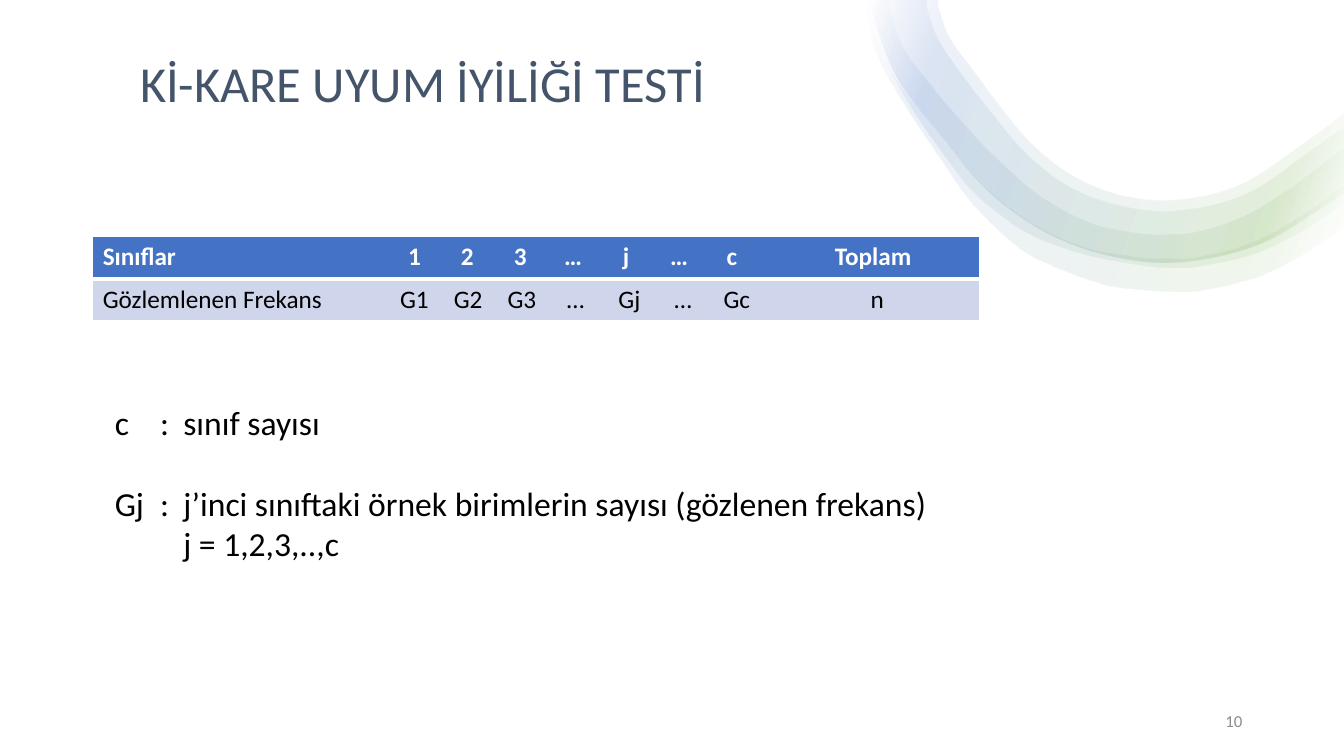
import math

import lxml.etree
import pptx
import pptx.dml.color
import pptx.enum.shapes
import pptx.enum.text
import pptx.oxml.ns
import pptx.util

Inches, Pt = pptx.util.Inches, pptx.util.Pt
qn = pptx.oxml.ns.qn
ALIGN, ANCHOR = pptx.enum.text.PP_ALIGN, pptx.enum.text.MSO_ANCHOR
FONT = "Calibri"

HEADER = ["Sınıflar", "1", "2", "3", "…", "j", "…", "c", "Toplam"]
OBSERVED = ["Gözlemlenen Frekans", "G1", "G2", "G3", "…", "Gj", "…", "Gc", "n"]

# Wave edges in inches: inner edges run from the top to the right, outer edges back.
CORE_OUTER = [(13.33, 1.9), (13.19, 2), (12.48, 2.42), (11.64, 2.6), (10.91, 2.51),
              (10.3, 2.26), (9.78, 1.87), (9.34, 1.35), (8.89, 0.75), (8.65, 0.08), (8.65, 0)]
WAVE_BANDS = [
    ([(8.6, 0), (8.64, 0), (8.64, 0.14), (8.75, 0.54), (8.97, 0.9), (9.25, 1.24),
      (9.52, 1.58), (9.81, 1.89), (10.25, 2.22), (10.76, 2.45), (11.3, 2.55),
      (11.59, 2.56), (11.86, 2.55), (12.39, 2.41), (12.88, 2.15), (13.33, 1.83)],
     [(13.33, 2.23), (13.08, 2.42), (12.53, 2.72), (11.91, 2.88), (11.66, 2.89),
      (11.43, 2.88), (10.96, 2.82), (10.36, 2.6), (10.09, 2.44), (9.65, 2.02),
      (9.31, 1.54), (8.99, 1.06), (8.71, 0.56), (8.61, 0.14), (8.6, 0)]),
    ([(8.65, 0), (8.83, 0), (8.83, 0.08), (8.94, 0.43), (9.24, 0.85), (9.6, 1.27),
      (9.96, 1.64), (10.35, 1.96), (10.8, 2.2), (11.31, 2.31), (11.57, 2.32),
      (11.83, 2.3), (12.31, 2.15), (12.75, 1.89), (13.33, 1.46)],
     [(13.33, 2.01), (13, 2.23), (12.47, 2.5), (11.87, 2.64), (11.57, 2.65),
      (11.27, 2.62), (10.69, 2.5), (10.13, 2.27), (9.66, 1.9), (9.31, 1.46),
      (9.01, 1.01), (8.74, 0.51), (8.65, 0.09), (8.65, 0)]),
    ([(8.65, 0), (9.2, 0), (9.2, 0.08), (9.32, 0.41), (9.59, 0.8), (9.79, 1.06),
      (10.18, 1.52), (10.61, 1.85), (11.09, 2.03), (11.64, 2.09), (12.35, 1.92),
      (13.05, 1.45), (13.33, 1.25)], CORE_OUTER),
    ([(8.65, 0), (9.31, 0), (9.31, 0.06), (9.42, 0.37), (9.68, 0.73), (9.88, 1),
      (10.23, 1.42), (10.64, 1.74), (11.11, 1.93), (11.64, 1.98), (12.29, 1.83),
      (12.99, 1.37), (13.33, 1.12)], CORE_OUTER),
]
WAVE_STOPS = [(2, "FFFFFF"), (16, "70AD47"), (85, "4472C4"), (100, "FFFFFF")]


def rgb(color):
    return pptx.dml.color.RGBColor.from_string(color)


def add_run(p, text, size, color, bold=False):
    r = p.add_run()
    r.text = text
    r.font.name, r.font.size, r.font.bold = FONT, Pt(size), bold
    r.font.color.rgb = rgb(color)


def add_text_frame(s, x, y, w, h, anchor):
    tf = s.shapes.add_textbox(Inches(x), Inches(y), Inches(w), Inches(h)).text_frame
    tf.word_wrap = True
    tf.vertical_anchor = anchor
    return tf


def set_tabs(p, positions, align):
    tabs = lxml.etree.SubElement(p._p.get_or_add_pPr(), qn("a:tabLst"))
    for pos in positions:
        lxml.etree.SubElement(tabs, qn("a:tab"), pos=str(Inches(pos)), algn=align)


def smooth(points):
    """Bezier control points and end of each piece of a curve through the points."""
    padded = [points[0], *points, points[-1]]
    pieces = []
    for a, b, c, d in zip(padded, padded[1:], padded[2:], padded[3:]):
        length = math.dist(b, c)
        start = length / (math.dist(a, b) + length) / 3
        end = length / (length + math.dist(c, d)) / 3
        pieces.append([(b[0] + (c[0] - a[0]) * start, b[1] + (c[1] - a[1]) * start),
                       (c[0] - (d[0] - b[0]) * end, c[1] - (d[1] - b[1]) * end), c])
    return pieces


def add_band(s, inner, outer):
    points = [(Inches(x), Inches(y)) for x, y in inner[1:] + outer]
    builder = s.shapes.build_freeform(Inches(inner[0][0]), Inches(inner[0][1]), scale=1.0)
    builder.add_line_segments(points, close=True)
    sp = builder.convert_to_shape()
    # The top edge and the right edge stay straight; all other pieces are curves.
    pieces = [None] + smooth(inner[1:]) + [None] + smooth(outer)
    for line, piece in zip(list(sp._element.iter(qn("a:lnTo"))), pieces):
        if piece:
            curve = lxml.etree.Element(qn("a:cubicBezTo"))
            for x, y in piece:
                lxml.etree.SubElement(curve, qn("a:pt"), x=str(Inches(x) - sp.left),
                                      y=str(Inches(y) - sp.top))
            line.getparent().replace(line, curve)
    return sp


def add_wave(s):
    for inner, outer in WAVE_BANDS:
        sp = add_band(s, inner, outer)
        sp.shadow.inherit = False
        sp.line.fill.background()
        sp.fill.gradient()
        sp.fill.gradient_angle = 160
        stops = sp._element.spPr.find(".//" + qn("a:gsLst"))
        for stop in list(stops):
            stops.remove(stop)
        for pos, color in WAVE_STOPS:
            stop = lxml.etree.SubElement(stops, qn("a:gs"), pos=str(pos * 1000))
            clr = lxml.etree.SubElement(stop, qn("a:srgbClr"), val=color)
            lxml.etree.SubElement(clr, qn("a:alpha"), val="10000")


def add_backdrop(s, x, y, w, h):
    sp = s.shapes.add_shape(pptx.enum.shapes.MSO_SHAPE.RECTANGLE,
                            Inches(x), Inches(y), Inches(w), Inches(h))
    sp.shadow.inherit = False
    sp.fill.solid()
    sp.fill.fore_color.rgb = rgb("FFFFFF")
    sp.line.fill.background()


def add_title(s, x, y, w, h):
    p = add_text_frame(s, x, y, w, h, ANCHOR.BOTTOM).paragraphs[0]
    p.line_spacing = 0.9
    add_run(p, "Kİ-KARE UYUM İYİLİĞİ TESTİ", 36, "44546A")


def set_borders(cell, widths):
    """Set white borders, in points per side."""
    tcPr = cell._tc.get_or_add_tcPr()
    for i, (side, width) in enumerate(widths.items()):
        ln = lxml.etree.Element(qn("a:ln" + side), w=str(Pt(width)))
        fill = lxml.etree.SubElement(ln, qn("a:solidFill"))
        lxml.etree.SubElement(fill, qn("a:srgbClr"), val="FFFFFF")
        tcPr.insert(i, ln)


def add_frequency_table(s, x, y, w, h):
    """Each row is one wide cell whose labels stand on centred tab stops."""
    rows = [(HEADER, 0.42, 0.525, 7.64, "4472C4", "FFFFFF", True),
            (OBSERVED, 0.41, 0.533, 7.68, "CFD5EA", "000000", False)]
    table = s.shapes.add_table(len(rows), 1, Inches(x), Inches(y),
                               Inches(w), Inches(h)).table
    for i, (labels, height, pitch, total, fill, color, bold) in enumerate(rows):
        table.rows[i].height = Inches(height)
        cell = table.cell(i, 0)
        cell.fill.solid()
        cell.fill.fore_color.rgb = rgb(fill)
        p = cell.text_frame.paragraphs[0]
        set_tabs(p, [3.09 + pitch * k for k in range(7)] + [total], "ctr")
        add_run(p, "\t".join(labels), 18, color, bold)
        set_borders(cell, {"L": 1, "R": 1, "T": 3 if i else 1, "B": 1 if i else 3})


def add_definitions(s, x, y, w, h):
    tf = add_text_frame(s, x, y, w, h, ANCHOR.TOP)
    lines = [("c\t:\tsınıf sayısı", [0.45, 0.68], 0),
             ("Gj\t:\tj’inci sınıftaki örnek birimlerin sayısı (gözlenen frekans)",
              [0.45, 0.68], 29),
             ("\tj = 1,2,3,..,c", [0.68], 0)]
    for i, (text, tabs, before) in enumerate(lines):
        p = tf.add_paragraph() if i else tf.paragraphs[0]
        p.space_before = Pt(before)
        set_tabs(p, tabs, "l")
        add_run(p, text, 24, "000000")


def add_slide_number(s, x, y, w, h):
    p = add_text_frame(s, x, y, w, h, ANCHOR.MIDDLE).paragraphs[0]
    p.alignment = ALIGN.RIGHT
    add_run(p, "10", 12, "8C8C8C")


def main():
    prs = pptx.Presentation()
    prs.slide_width, prs.slide_height = Inches(13.33), Inches(7.5)
    s = prs.slides.add_slide(prs.slide_layouts[6])
    add_backdrop(s, 0, 0, 13.33, 7.5)
    add_title(s, 1.29, 0, 10.75, 1.17)
    add_wave(s)
    add_frequency_table(s, 0.92, 2.35, 8.8, 0.83)
    add_definitions(s, 1.04, 3.94, 11.37, 1.72)
    add_slide_number(s, 9.42, 6.95, 3, 0.4)
    prs.save("out.pptx")


if __name__ == "__main__":
    main()
